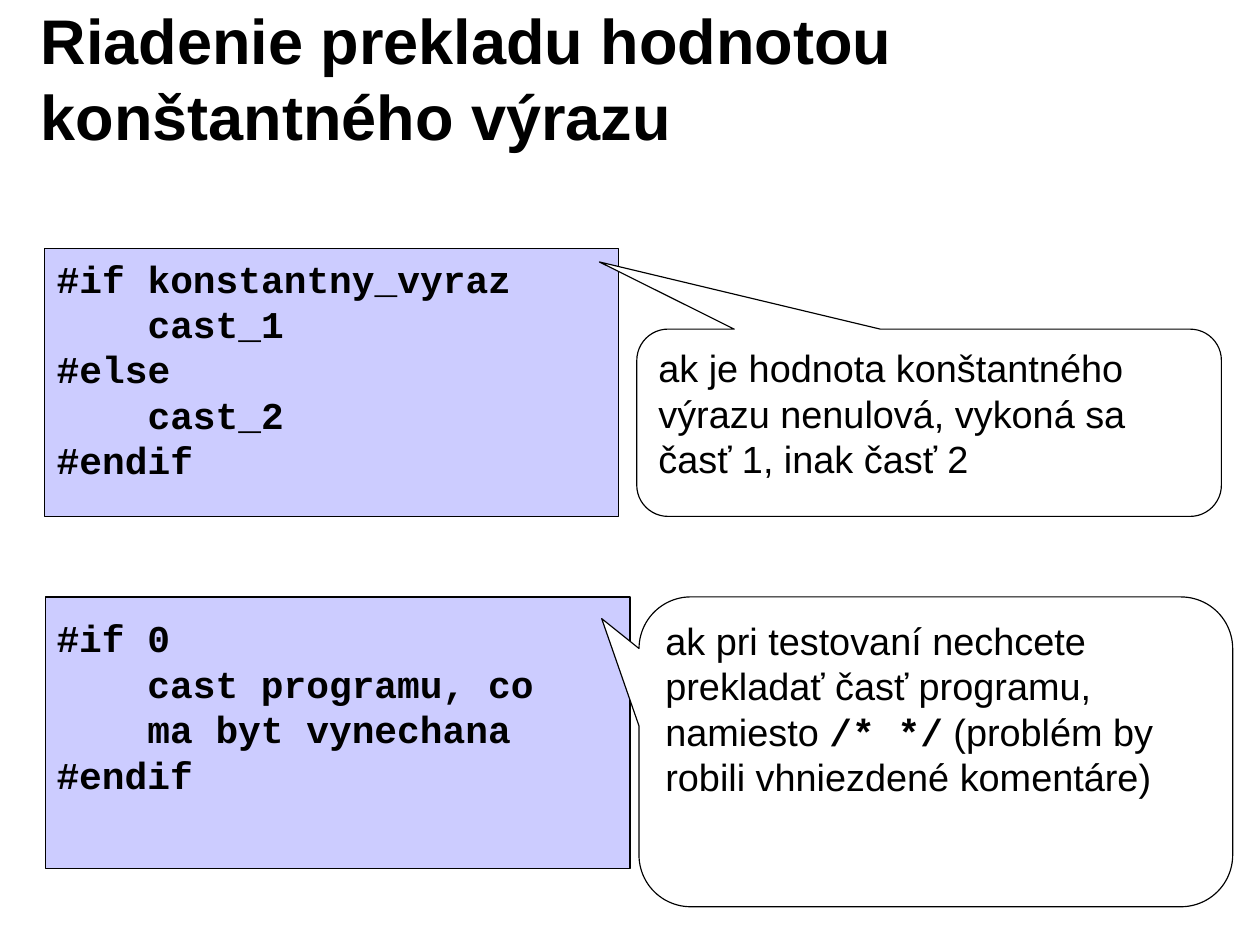
"""Build a slide on conditional compilation with two code panels and callouts."""
from pptx import Presentation
from pptx.dml.color import RGBColor
from pptx.enum.shapes import MSO_SHAPE
from pptx.enum.text import MSO_ANCHOR, PP_ALIGN
from pptx.util import Inches, Pt

COLORS = {"text": "000000", "line": "000000", "code": "CCCCFF", "callout": "FFFFFF"}
BODY, CODE = "Arial", "Courier New"


def add_panel(kind, area, fill):
    panel = page.shapes.add_shape(kind, *map(Inches, area))
    panel.shadow.inherit = False
    panel.fill.solid()
    panel.fill.fore_color.rgb = RGBColor.from_string(COLORS[fill])
    panel.line.color.rgb = RGBColor.from_string(COLORS["line"])
    panel.line.width = Pt(0.75)
    return panel


def write(box, paragraphs, size=24, anchor=MSO_ANCHOR.TOP, inset=(0.11, 0.06)):
    frame = box.text_frame
    frame.word_wrap = True
    frame.vertical_anchor = anchor
    frame.margin_left = frame.margin_right = Inches(inset[0])
    frame.margin_top = frame.margin_bottom = Inches(inset[1])
    for index, spans in enumerate(paragraphs):
        para = frame.add_paragraph() if index else frame.paragraphs[0]
        para.alignment = PP_ALIGN.LEFT
        for text, font, bold in spans:
            span = para.add_run()
            span.text = text
            span.font.name = font
            span.font.size = Pt(size)
            span.font.bold = bold
            span.font.color.rgb = RGBColor.from_string(COLORS["text"])


deck = Presentation()
deck.slide_width, deck.slide_height = Inches(11.1), Inches(8.3)
page = deck.slides.add_slide(deck.slide_layouts[6])

title = page.shapes.add_textbox(Inches(0.25), Inches(0.17), Inches(8.91), Inches(1.02))
write(title, [[("Riadenie prekladu hodnotou konštantného výrazu", BODY, True)]],
      size=40, anchor=MSO_ANCHOR.MIDDLE)

examples = [
    {
        "panel": (0.39, 2.19, 5.06, 2.36),
        "code_area": (0.39, 2.19, 5, 2.13),
        "code": ["#if konstantny_vyraz", "    cast_1", "#else", "    cast_2", "#endif"],
        "callout": (5.61, 2.9, 5.15, 1.65),
        "pointer": (-0.564, -0.859),
        "inset": (0.11, 0.06),
        "note": [("ak je hodnota konštantného výrazu nenulová, vykoná sa časť 1, "
                  "inak časť 2", BODY, False)],
    },
    {
        "panel": (0.4, 5.26, 5.15, 2.39),
        "code_area": (0.4, 5.37, 5.04, 1.72),
        "code": ["#if 0", "    cast programu, co", "    ma byt vynechana", "#endif"],
        "callout": (5.63, 5.26, 5.23, 2.73),
        "pointer": (-0.563, -0.43),
        "inset": (0.1, 0.05),
        "note": [("ak pri testovaní nechcete prekladať časť programu, namiesto ", BODY, False),
                 ("/* */", CODE, True),
                 (" (problém by robili vhniezdené komentáre)", BODY, False)],
    },
]

for example in examples:
    add_panel(MSO_SHAPE.RECTANGLE, example["panel"], "code")
    code_box = page.shapes.add_textbox(*map(Inches, example["code_area"]))
    write(code_box, [[(line, CODE, True)] for line in example["code"]], inset=example["inset"])
    callout = add_panel(MSO_SHAPE.ROUNDED_RECTANGULAR_CALLOUT, example["callout"], "callout")
    for index, value in enumerate((*example["pointer"], 0.167)):
        callout.adjustments[index] = value
    write(callout, [example["note"]], inset=example["inset"])

deck.save("out.pptx")
